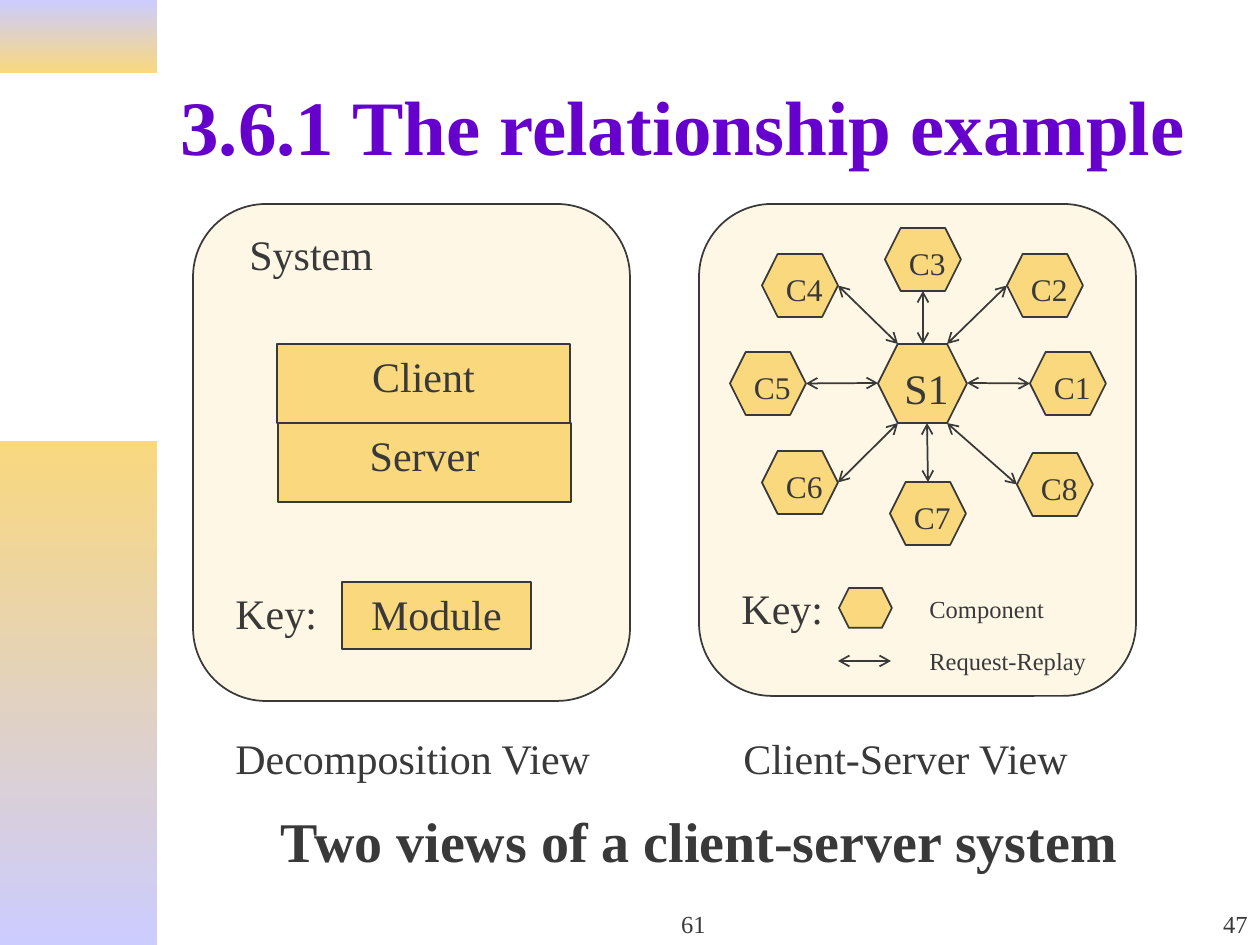
from lxml import etree
from pptx import Presentation
from pptx.dml.color import RGBColor
from pptx.enum.shapes import MSO_CONNECTOR, MSO_SHAPE
from pptx.enum.text import MSO_ANCHOR, PP_ALIGN
from pptx.oxml.ns import qn
from pptx.util import Emu, Pt

RECTANGLE = MSO_SHAPE.RECTANGLE
ROUNDED = MSO_SHAPE.ROUNDED_RECTANGLE
HEXAGON = MSO_SHAPE.HEXAGON
STRAIGHT = MSO_CONNECTOR.STRAIGHT
LEFT, CENTER, RIGHT = PP_ALIGN.LEFT, PP_ALIGN.CENTER, PP_ALIGN.RIGHT
TOP, MIDDLE, BOTTOM = MSO_ANCHOR.TOP, MSO_ANCHOR.MIDDLE, MSO_ANCHOR.BOTTOM

EMU_PER_PX = 914400 / 126
FONT = "Times New Roman"
INK, GOLD, CREAM = "393939", "F9D87E", "FEF7E5"
LILAC, PURPLE = "CCCCFF", "6600CC"
HEXAGON_INSET = 0.25

# Server and client hexagons: left, top, width, height
SERVER = (878, 344, 89, 79)
CLIENT_SIZE = (76, 63)
CLIENTS = {
    "C3": (885, 228), "C5": (730, 352), "C7": (890, 482), "C1": (1030, 352),
    "C4": (762, 254), "C2": (1007, 254), "C8": (1017, 453), "C6": (762, 451),
}


def px(length):
    return Emu(round(length * EMU_PER_PX))


def color(value):
    return RGBColor.from_string(value)


def set_text(shape, text, size, align=LEFT, anchor=TOP, wrap=True,
             bold=False, ink=INK):
    frame = shape.text_frame
    frame.text = text
    frame.word_wrap = wrap
    frame.vertical_anchor = anchor
    paragraph = frame.paragraphs[0]
    paragraph.alignment = align
    font = paragraph.runs[0].font
    font.name, font.size, font.bold = FONT, Pt(size), bold
    font.color.rgb = color(ink)


def add_label(slide, box, text, size, **style):
    shape = slide.shapes.add_textbox(*map(px, box))
    set_text(shape, text, size, **style)


def add_box(slide, kind, box, fill=GOLD):
    shape = slide.shapes.add_shape(kind, *map(px, box))
    shape.shadow.inherit = False
    shape.fill.solid()
    shape.fill.fore_color.rgb = color(fill)
    shape.line.color.rgb = color(INK)
    shape.line.width = Pt(1)
    return shape


def add_module(slide, box, text):
    set_text(add_box(slide, RECTANGLE, box), text, 24, align=CENTER, wrap=False)


def add_hexagon(slide, box, text="", size=18):
    shape = add_box(slide, HEXAGON, box)
    shape.adjustments[0] = HEXAGON_INSET
    if text:
        set_text(shape, text, size, wrap=False)


def add_gradient_band(slide, box, start, end):
    shape = slide.shapes.add_shape(RECTANGLE, *map(px, box))
    shape.shadow.inherit = False
    shape.line.fill.background()
    shape.fill.gradient()
    shape.fill.gradient_angle = 270
    for stop, position, value in zip(shape.fill.gradient_stops, (0, 1), (start, end)):
        stop.position = position
        stop.color.rgb = color(value)


def add_double_arrow(slide, start, end):
    connector = slide.shapes.add_connector(STRAIGHT, *map(px, (*start, *end)))
    connector.line.color.rgb = color(INK)
    connector.line.width = Pt(1)
    line = connector.line._get_or_add_ln()
    for tag in ("a:headEnd", "a:tailEnd"):
        etree.SubElement(line, qn(tag)).set("type", "arrow")
    etree.SubElement(connector._element.spPr, qn("a:effectLst"))


def draw_decomposition_view(slide):
    add_box(slide, ROUNDED, (193, 204, 437, 497), CREAM)
    add_label(slide, (237, 222, 149, 63), "System", 24)
    add_module(slide, (277, 344, 293, 79), "Client")
    add_module(slide, (278, 423, 293, 79), "Server")
    add_label(slide, (223, 581, 120, 63), "Key:", 24)
    add_module(slide, (342, 582, 189, 67), "Module")
    add_label(slide, (223, 726, 383, 63), "Decomposition View", 24, wrap=False)


def draw_request_arrows(slide):
    left, top, width, height = SERVER
    right, bottom, middle = left + width, top + height, top + height // 2
    inset = round(height * HEXAGON_INSET)
    client_width, client_height = CLIENT_SIZE

    def client_point(name, across, down):
        x, y = CLIENTS[name]
        return x + client_width * across, y + client_height * down

    # Each server point is paired with the facing point of a client
    links = [
        (client_point("C3", 0.5, 1), (923, top)),
        (client_point("C5", 1, 0.5), (left, middle)),
        ((right, middle), client_point("C1", 0, 0.5)),
        ((927, bottom), client_point("C7", 0.5, 0)),
        ((left + inset, top), client_point("C4", 1, 0.5)),
        ((right - inset, top), client_point("C2", 0, 0.5)),
        ((left + inset, bottom), client_point("C6", 1, 0.5)),
        ((right - inset, bottom), client_point("C8", 0, 0.5)),
    ]
    for start, end in links:
        add_double_arrow(slide, start, end)


def draw_client_server_view(slide):
    add_box(slide, ROUNDED, (699, 204, 437, 492), CREAM)
    add_hexagon(slide, SERVER, "S1", 24)
    for name, position in CLIENTS.items():
        add_hexagon(slide, (*position, *CLIENT_SIZE), name)
    draw_request_arrows(slide)

    # Key
    add_label(slide, (729, 576, 119, 63), "Key:", 24)
    add_hexagon(slide, (839, 588, 53, 40))
    add_double_arrow(slide, (838, 661), (891, 661))
    add_label(slide, (917, 588, 179, 42), "Component", 14)
    add_label(slide, (917, 640, 189, 42), "Request-Replay", 14)
    add_label(slide, (731, 726, 353, 63), "Client-Server View", 24, wrap=False)


def main():
    presentation = Presentation()
    presentation.slide_width, presentation.slide_height = px(1260), px(945)
    slide = presentation.slides.add_slide(presentation.slide_layouts[6])

    # Side bands
    add_gradient_band(slide, (0, 0, 157, 73), LILAC, GOLD)
    add_gradient_band(slide, (0, 441, 157, 504), GOLD, LILAC)

    # Title and caption
    add_label(slide, (168, 42, 1071, 166), "3.6.1 The relationship example", 44,
              anchor=MIDDLE, bold=True, ink=PURPLE)
    add_label(slide, (164, 800, 1071, 83), "Two views of a client-server system", 32,
              align=CENTER, bold=True)

    draw_decomposition_view(slide)
    draw_client_server_view(slide)

    # Footer numbers
    add_label(slide, (494, 882, 399, 63), "61", 14, align=CENTER, anchor=BOTTOM)
    add_label(slide, (998, 882, 262, 63), "47", 14, align=RIGHT, anchor=BOTTOM)

    presentation.save("out.pptx")


if __name__ == "__main__":
    main()
